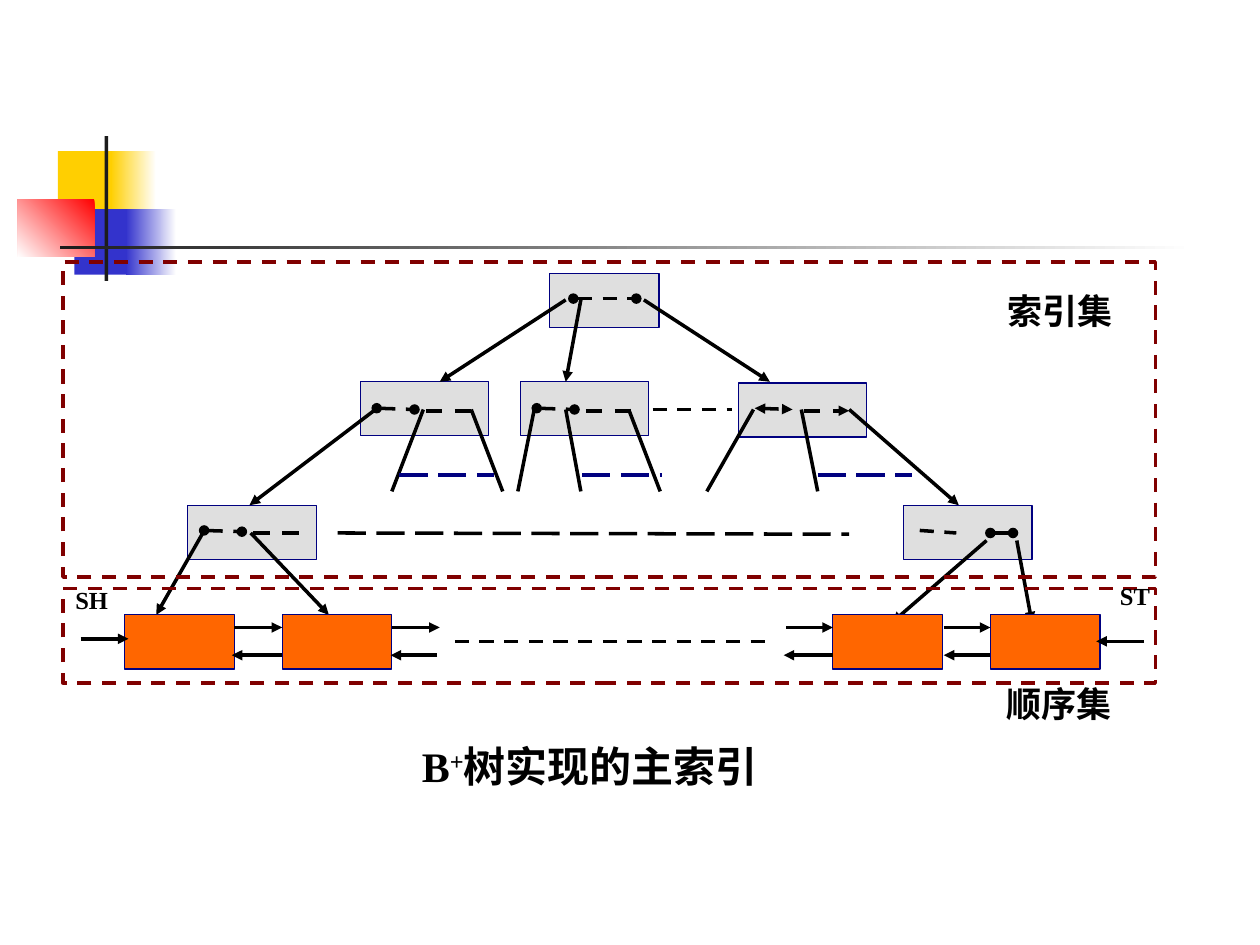
"""Build a slide showing a primary index implemented as a B+ tree."""
from lxml.etree import SubElement
from pptx import Presentation
from pptx.dml.color import RGBColor
from pptx.enum.dml import MSO_LINE as DASH
from pptx.enum.shapes import MSO_CONNECTOR as CONN, MSO_SHAPE as SHAPE
from pptx.enum.text import PP_ALIGN as AL
from pptx.oxml.ns import qn
from pptx.util import Cm, Pt

COLORS = {
    "black": "000000", "white": "FFFFFF", "ink": "1C1C1C", "yellow": "FFCF01",
    "blue": "3333CC", "red": "FF0000", "gray": "C0C0C0", "navy": "000080",
    "orange": "FF6600", "maroon": "800000",
}
RGB = {name: RGBColor.from_string(value) for name, value in COLORS.items()}
INCH = 2.54

prs = Presentation()
prs.slide_width, prs.slide_height = Cm(10 * INCH), Cm(7.5 * INCH)
s = prs.slides.add_slide(prs.slide_layouts[6])


def box(x, y, w, h, fill=None, line=None, weight=0.75):
    sp = s.shapes.add_shape(SHAPE.RECTANGLE, *(Cm(v * INCH) for v in (x, y, w, h)))
    sp.shadow.inherit = False
    if fill:
        sp.fill.solid()
        sp.fill.fore_color.rgb = RGB[fill]
    else:
        sp.fill.background()
    if line:
        sp.line.color.rgb = RGB[line]
        sp.line.width = Pt(weight)
    else:
        sp.line.fill.background()
    return sp


def link(x1, y1, x2, y2, head=None, tail=None, dash=None, color="black"):
    c = s.shapes.add_connector(CONN.STRAIGHT, *(Cm(v * INCH) for v in (x1, y1, x2, y2)))
    c.line.color.rgb = RGB[color]
    c.line.width = Pt(2)
    if dash:
        c.line.dash_style = dash
    ln = c.line._get_or_add_ln()
    for tag, kind in (("a:headEnd", head), ("a:tailEnd", tail)):
        if kind:
            SubElement(ln, qn(tag)).set("type", kind)
    SubElement(c._element.spPr, qn("a:effectLst"))


for x, y, w, h, start, end, angle in [
    (0.46, 1.2, 0.48, 0.52, "yellow", None, 0),
    (0.88, 1.2, 0.36, 0.52, "white", "yellow", 180),
    (0.59, 1.66, 0.46, 0.52, "blue", None, 0),
    (1, 1.66, 0.4, 0.52, "white", "blue", 180),
    (0.14, 1.58, 0.61, 0.46, "red", "white", 225),
    (0.83, 1.08, 0.03, 1.15, "ink", None, 0),
    (0.48, 1.95, 9, 0.03, "white", "ink", 180),
]:
    sp = box(x, y, w, h, start)
    if end:
        sp.fill.gradient()
        sp.fill.gradient_angle = angle
        for stop, name, position in zip(sp.fill.gradient_stops, (start, end), (0, 1)):
            stop.color.rgb = RGB[name]
            stop.position = position

NODE_H = 0.43
for x, y, w in [(4.36, 2.17, 0.87), (2.86, 3.03, 1.02), (4.13, 3.03, 1.02),
                (5.86, 3.04, 1.02), (1.49, 4.01, 1.02), (7.17, 4.01, 1.02)]:
    sp = box(x, y, w, NODE_H, "gray", "navy")
    color = sp.fill._xPr.find(qn("a:solidFill"))[0]
    SubElement(color, qn("a:alpha")).set("val", "50000")

link(4.55, 2.37, 5.05, 2.37, "oval", "oval", DASH.DASH)
for x, y, end, last in [(2.86, 3.24, "oval", None), (4.13, 3.24, "oval", None),
                        (5.86, 3.24, "triangle", "triangle"), (1.49, 4.21, "oval", None)]:
    link(x + 0.13, y, x + 0.43, y + 0.01, end, end, DASH.DASH)
    link(x + 0.52, y + 0.02, x + 0.65, y + 0.02)
    link(x + 0.75, y + 0.02, x + 0.88, y + 0.02, tail=last)
link(7.3, 4.21, 7.59, 4.23, dash=DASH.DASH)
link(7.86, 4.23, 8.04, 4.23, "oval", "oval")

for ends in [
    (4.49, 2.38, 3.49, 3.03), (4.61, 2.38, 4.49, 3.03), (5.11, 2.38, 6.11, 3.03),
    (2.98, 3.25, 1.98, 4.01), (6.74, 3.25, 7.61, 4.01),
    (1.99, 4.23, 2.61, 4.88), (1.61, 4.23, 1.24, 4.88),
    (7.83, 4.29, 7.08, 4.94), (8.07, 4.29, 8.19, 4.94),
]:
    link(*ends, tail="triangle")

for x1, x2 in [(3.36, 3.11), (3.74, 3.99), (4.24, 4.11), (4.49, 4.61),
               (4.99, 5.24), (5.98, 5.61), (6.36, 6.49)]:
    link(x1, 3.25, x2, 3.9)

for x1, x2 in [(3.17, 3.92), (4.62, 5.25), (6.49, 7.24)]:
    link(x1, 3.77, x2, 3.77, dash=DASH.LONG_DASH, color="navy")
link(5.18, 3.25, 5.81, 3.25, dash=DASH.DASH)
link(2.68, 4.23, 6.74, 4.24, dash=DASH.LONG_DASH)
link(3.61, 5.09, 6.11, 5.09, dash=DASH.DASH)

for x in (0.99, 2.24, 6.61, 7.86):
    box(x, 4.88, 0.87, NODE_H, "orange", "navy")
for x1, x2, y in [
    (1.86, 2.24, 4.98), (3.11, 3.49, 4.98), (6.24, 6.61, 4.98), (7.49, 7.86, 4.98),
    (2.24, 1.84, 5.2), (3.47, 3.1, 5.2), (6.61, 6.22, 5.2), (7.86, 7.49, 5.2),
    (0.64, 1.02, 5.07), (9.08, 8.7, 5.09),
]:
    link(x1, y, x2, y, tail="triangle")

for y, h in [(2.08, 2.5), (4.67, 0.75)]:
    box(0.5, y, 8.67, h, line="maroon", weight=2).line.dash_style = DASH.DASH

SERIF = "Times New Roman"
for x, y, w, h, size, align, runs in [
    (0.5, 4.59, 0.5, 0.43, 14, AL.JUSTIFY, [("SH", SERIF, 0)]),
    (8.79, 4.56, 0.5, 0.43, 14, AL.JUSTIFY, [("ST", SERIF, 0)]),
    (7.75, 2.25, 1.33, 0.43, 20, AL.CENTER, [("索引集", SERIF, 0)]),
    (7.74, 5.37, 1.33, 0.43, 20, AL.CENTER, [("顺序集", SERIF, 0)]),
    (3.25, 5.83, 2.92, 0.9, 24, AL.LEFT,
     [("B", SERIF, 0), ("+", SERIF, 30000), ("树实现的主索引", "Lato", 0)]),
]:
    tf = s.shapes.add_textbox(*(Cm(v * INCH) for v in (x, y, w, h))).text_frame
    tf.word_wrap = True
    p = tf.paragraphs[0]
    p.alignment = align
    for text, font, baseline in runs:
        r = p.add_run()
        r.text = text
        r.font.name, r.font.size, r.font.bold = font, Pt(size), True
        r.font.color.rgb = RGB["black"]
        if baseline:
            r.font._element.set("baseline", str(baseline))

prs.save("out.pptx")
